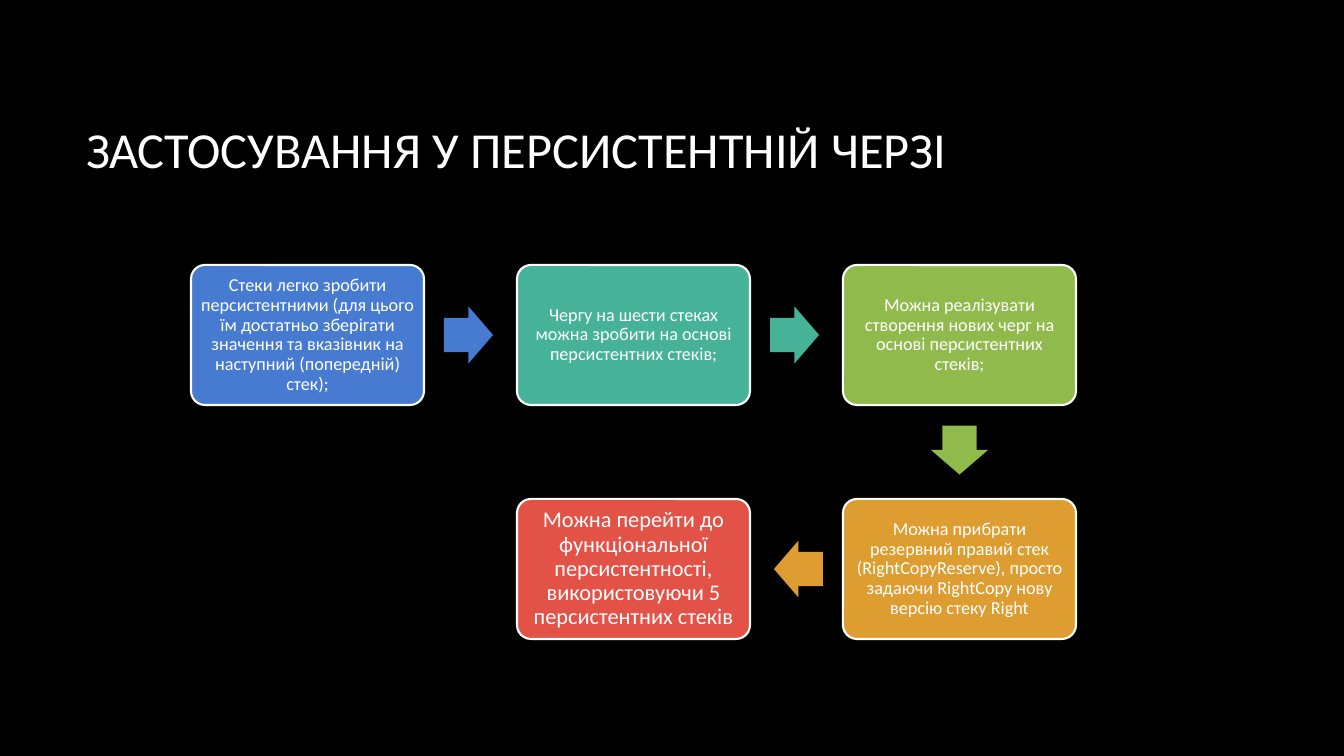
from dataclasses import dataclass

from pptx import Presentation
from pptx import util as u
from pptx.dml.color import RGBColor
from pptx.enum import shapes, text


@dataclass(frozen=True)
class Theme:
    font: str = "Calibri"
    background: str = "000000"
    ink: str = "FFFFFF"
    blue: str = "477BD1"
    teal: str = "46B298"
    green: str = "90BA4C"
    amber: str = "DD9D31"
    red: str = "E25247"
    title_size: int = 36
    step_size: int = 13
    final_size: int = 16


T = Theme()
SCALE = 914400 / 100.8  # EMU in one px

# Grid of steps, in px
LEFT, TOP = 191, 265
BOX_W, BOX_H = 233, 140
STEP_X, STEP_Y = 326, 234
ARROW_L, ARROW_W = 49, 57
ARROW_SHIFT = 2  # arrows sit slightly nearer the step they leave

# Column, row, colour, type size, margin in px, wording
STEPS = [
    (0, 0, T.blue, T.step_size, 5,
     "Стеки легко зробити персистентними (для цього їм достатньо зберігати "
     "значення та вказівник на наступний (попередній) стек);"),
    (1, 0, T.teal, T.step_size, 5,
     "Чергу на шести стеках можна зробити на основі персистентних стеків;"),
    (2, 0, T.green, T.step_size, 5,
     "Можна реалізувати створення нових черг на основі персистентних стеків;"),
    (2, 1, T.amber, T.step_size, 5,
     "Можна прибрати резервний правий стек (RightCopyReserve), просто "
     "задаючи RightCopy нову версію стеку Right"),
    (1, 1, T.red, T.final_size, 7,
     "Можна перейти до функціональної персистентності, використовуючи 5 "
     "персистентних стеків"),
]


def px(n):
    return u.Emu(round(n * SCALE))


def rgb(colour):
    return RGBColor.from_string(colour)


def add_run(p, wording, size):
    r = p.add_run()
    r.text = wording
    r.font.name = T.font
    r.font.size = u.Pt(size)
    r.font.color.rgb = rgb(T.ink)


def add_filled(s, kind, x, y, w, h, colour):
    sp = s.shapes.add_shape(kind, px(x), px(y), px(w), px(h))
    sp.shadow.inherit = False
    sp.fill.solid()
    sp.fill.fore_color.rgb = rgb(colour)
    return sp


def add_title(s, wording):
    sp = s.shapes.title
    sp.left, sp.top, sp.width, sp.height = px(76), px(68), px(1117), px(160)
    tf = sp.text_frame
    tf.word_wrap = True
    tf.vertical_anchor = text.MSO_ANCHOR.MIDDLE
    p = tf.paragraphs[0]
    p.alignment = text.PP_ALIGN.LEFT
    add_run(p, wording, T.title_size)


def add_step(s, col, row, colour, size, margin, wording):
    sp = add_filled(s, shapes.MSO_SHAPE.ROUNDED_RECTANGLE,
                    LEFT + col * STEP_X, TOP + row * STEP_Y, BOX_W, BOX_H, colour)
    sp.adjustments[0] = 0.1
    sp.line.color.rgb = rgb(T.ink)
    sp.line.width = u.Pt(1.5)
    tf = sp.text_frame
    tf.word_wrap = True
    tf.vertical_anchor = text.MSO_ANCHOR.MIDDLE
    tf.margin_left = tf.margin_right = tf.margin_top = tf.margin_bottom = px(margin)
    p = tf.paragraphs[0]
    p.alignment = text.PP_ALIGN.CENTER
    p.line_spacing = 0.9
    add_run(p, wording, size)


def add_arrow(s, start, end):
    """Put an arrow midway between two neighbouring steps."""
    (col, row, colour), (next_col, next_row) = start[:3], end[:2]
    dx, dy = next_col - col, next_row - row
    cx = LEFT + BOX_W / 2 + (col + dx / 2) * STEP_X - dx * ARROW_SHIFT
    cy = TOP + BOX_H / 2 + (row + dy / 2) * STEP_Y - dy * ARROW_SHIFT
    sp = add_filled(s, shapes.MSO_SHAPE.RIGHT_ARROW, cx - ARROW_L / 2,
                    cy - ARROW_W / 2, ARROW_L, ARROW_W, colour)
    sp.adjustments[0], sp.adjustments[1] = 0.6, 0.5
    sp.line.fill.background()
    sp.rotation = {(1, 0): 0, (0, 1): 90, (-1, 0): 180}[dx, dy]


def main():
    prs = Presentation()
    prs.slide_width, prs.slide_height = px(1344), px(756)
    s = prs.slides.add_slide(prs.slide_layouts[5])
    s.background.fill.solid()
    s.background.fill.fore_color.rgb = rgb(T.background)

    add_title(s, "ЗАСТОСУВАННЯ У ПЕРСИСТЕНТНІЙ ЧЕРЗІ")

    # Steps and the arrows that join them
    for step in STEPS:
        add_step(s, *step)
    for start, end in zip(STEPS, STEPS[1:]):
        add_arrow(s, start, end)

    prs.save("out.pptx")


if __name__ == "__main__":
    main()
